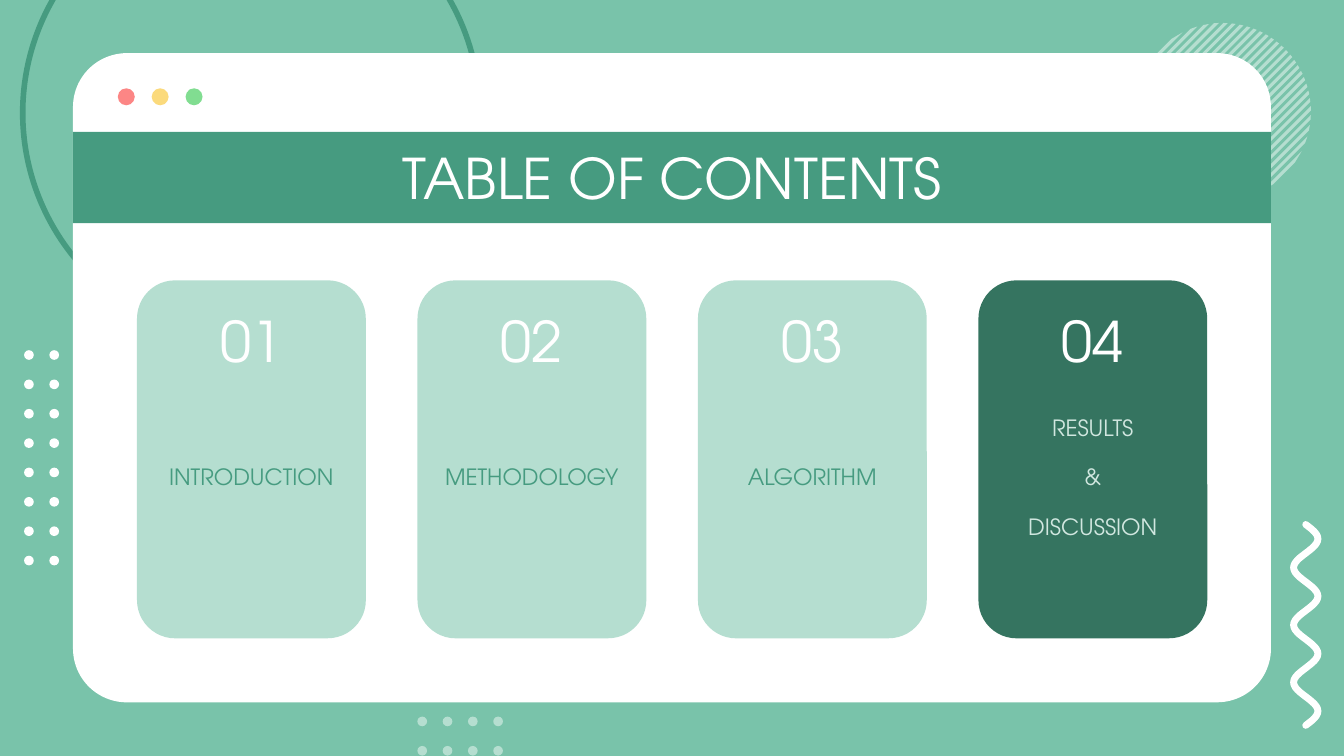
import math

import pptx
import pptx.dml.color
import pptx.enum.shapes
import pptx.enum.text
import pptx.oxml.ns
import pptx.util

Pt = pptx.util.Pt
SHAPE = pptx.enum.shapes.MSO_SHAPE
FONT = "TeX Gyre Adventor"
COLORS = {
    "background": "79C3AA",
    "green": "469B80",
    "dark": "357460",
    "mint": "B5DED0",
    "pale": "D1E7E0",
    "white": "FFFFFF",
    "red": "FC8685",
    "yellow": "FBDA7C",
    "lime": "81DD91",
}
# Number, lines of the label, card colour, label colour
SECTIONS = [
    ("01", ["INTRODUCTION"], "mint", "green"),
    ("02", ["METHODOLOGY"], "mint", "green"),
    ("03", ["ALGORITHM"], "mint", "green"),
    ("04", ["RESULTS", "&", "DISCUSSION"], "dark", "pale"),
]


def rgb(name):
    return pptx.dml.color.RGBColor.from_string(COLORS[name])


def paint(shape, fill=None, line=None, width=0):
    shape.shadow.inherit = False
    if fill:
        shape.fill.solid()
        shape.fill.fore_color.rgb = rgb(fill)
    else:
        shape.fill.background()
    if line:
        shape.line.color.rgb = rgb(line)
        shape.line.width = Pt(width)
    else:
        shape.line.fill.background()


def add_block(shapes, kind, box, fill=None, line=None, width=0, corner=None):
    block = shapes.add_shape(kind, *map(Pt, box))
    if corner is not None:
        block.adjustments[0] = corner
    paint(block, fill, line, width)


def add_outline(shapes, points, closed, **colors):
    # Scale: 100 drawing units to the point
    units = [(round(x * 100), round(y * 100)) for x, y in points]
    builder = shapes.build_freeform(*units[0], scale=Pt(1) / 100)
    builder.add_line_segments(units[1:], close=closed)
    outline = builder.convert_to_shape()
    paint(outline, **colors)
    return outline


def write(shape, lines, size, color, space_after=0):
    frame = shape.text_frame
    frame.word_wrap = True
    frame.auto_size = pptx.enum.text.MSO_AUTO_SIZE.NONE
    frame.vertical_anchor = pptx.enum.text.MSO_ANCHOR.MIDDLE
    frame.margin_left = frame.margin_right = 0
    frame.margin_top = frame.margin_bottom = 0
    for i, line in enumerate(lines):
        paragraph = frame.add_paragraph() if i else frame.paragraphs[0]
        paragraph.alignment = pptx.enum.text.PP_ALIGN.CENTER
        paragraph.space_before = Pt(0)
        paragraph.space_after = Pt(space_after)
        run = paragraph.add_run()
        run.text = line
        run.font.name = FONT
        run.font.size = Pt(size)
        run.font.color.rgb = rgb(color)


def add_dot_grid(slide, left, top, columns, rows, color):
    dots = slide.shapes.add_group_shape().shapes
    for column in range(columns):
        for row in range(rows):
            box = (left + 13.55 * column, top + 15.73 * row, 5.2, 5.2)
            add_block(dots, SHAPE.OVAL, box, color)


def add_striped_disc(slide, center_x, center_y, radius):
    """Fill a circle with rising diagonal stripes, each cut off by its edge."""
    stripes = slide.shapes.add_group_shape().shapes
    count, pitch, thickness = 28, 3.4, 1.7
    diagonal = math.sqrt(0.5)

    def chord(offset):
        offset = max(-radius, min(radius, offset))
        half = math.sqrt(radius ** 2 - offset ** 2)
        return [(center_x + (offset + side * half) * diagonal,
                 center_y + (offset - side * half) * diagonal)
                for side in (-1, 1)]

    for i in range(count):
        offset = (i - (count - 1) / 2) * pitch
        edge = chord(offset - thickness / 2)
        far_edge = chord(offset + thickness / 2)
        add_outline(stripes, edge + far_edge[::-1], True, fill="mint")


def add_wave(slide, center_x, top, amplitude, period, turns):
    steps = 24
    points = [(center_x + amplitude * math.sin(2 * math.pi * i / steps),
               top + period * i / steps)
              for i in range(int(turns * steps) + 1)]
    wave = add_outline(slide.shapes, points, False, line="white", width=3.7)
    wave.element.spPr.find(pptx.oxml.ns.qn("a:ln")).set("cap", "rnd")


def add_card(slide, left, number, label, fill, label_color):
    add_block(slide.shapes, SHAPE.ROUNDED_RECTANGLE,
              (left, 150.2, 122.6, 191.8), fill, corner=0.167)
    text_left, text_width = left + 9, 104.6
    heading = slide.shapes.add_textbox(
        *map(Pt, (text_left, 168.5, text_width, 28)))
    write(heading, [number], 30, "white")
    caption = slide.shapes.add_textbox(
        *map(Pt, (text_left, 234, text_width, 43.2)))
    write(caption, label, 12, label_color, space_after=12)


def add_title(slide, text):
    title = slide.shapes.title
    title.left, title.top, title.width, title.height = map(
        Pt, (39.1, 70.7, 641.8, 48.8))
    title.fill.solid()
    title.fill.fore_color.rgb = rgb("green")
    write(title, [text], 30, "white")
    # Bring the title band in front of the window
    slide.shapes.element.append(title.element)


def main():
    deck = pptx.Presentation()
    deck.slide_width, deck.slide_height = Pt(720), Pt(405)
    slide = deck.slides.add_slide(deck.slide_layouts[5])
    slide.background.fill.solid()
    slide.background.fill.fore_color.rgb = rgb("background")

    # Decoration around the window
    add_dot_grid(slide, 12.9, 187.6, 2, 8, "white")
    add_block(slide.shapes, SHAPE.OVAL, (12.2, -61.9, 244.8, 244.8),
              line="green", width=3)
    add_striped_disc(slide, 654.8, 59.8, 47.5)
    add_dot_grid(slide, 223.6, 383.9, 4, 2, "mint")
    add_wave(slide, 699.5, 281, 6.5, 30.75, 3.5)

    # Window with its three buttons
    add_block(slide.shapes, SHAPE.ROUNDED_RECTANGLE,
              (39.1, 28.5, 641.8, 347.8), "white", corner=0.083)
    for i, color in enumerate(("red", "yellow", "lime")):
        add_block(slide.shapes, SHAPE.OVAL,
                  (63.1 + 18.15 * i, 47.3, 9.1, 9.1), color)

    # Contents
    for i, section in enumerate(SECTIONS):
        add_card(slide, 73.4 + 150.25 * i, *section)
    add_title(slide, "TABLE OF CONTENTS")

    deck.save("out.pptx")


if __name__ == "__main__":
    main()
